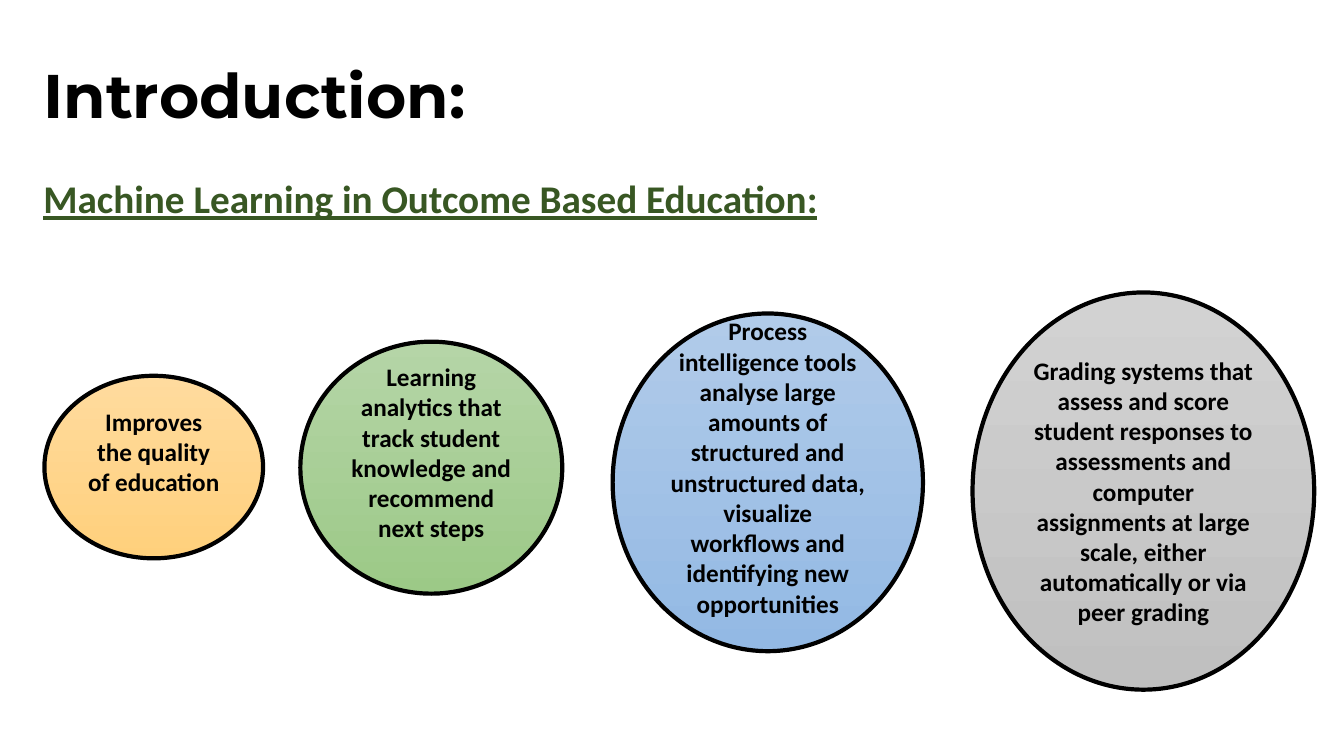
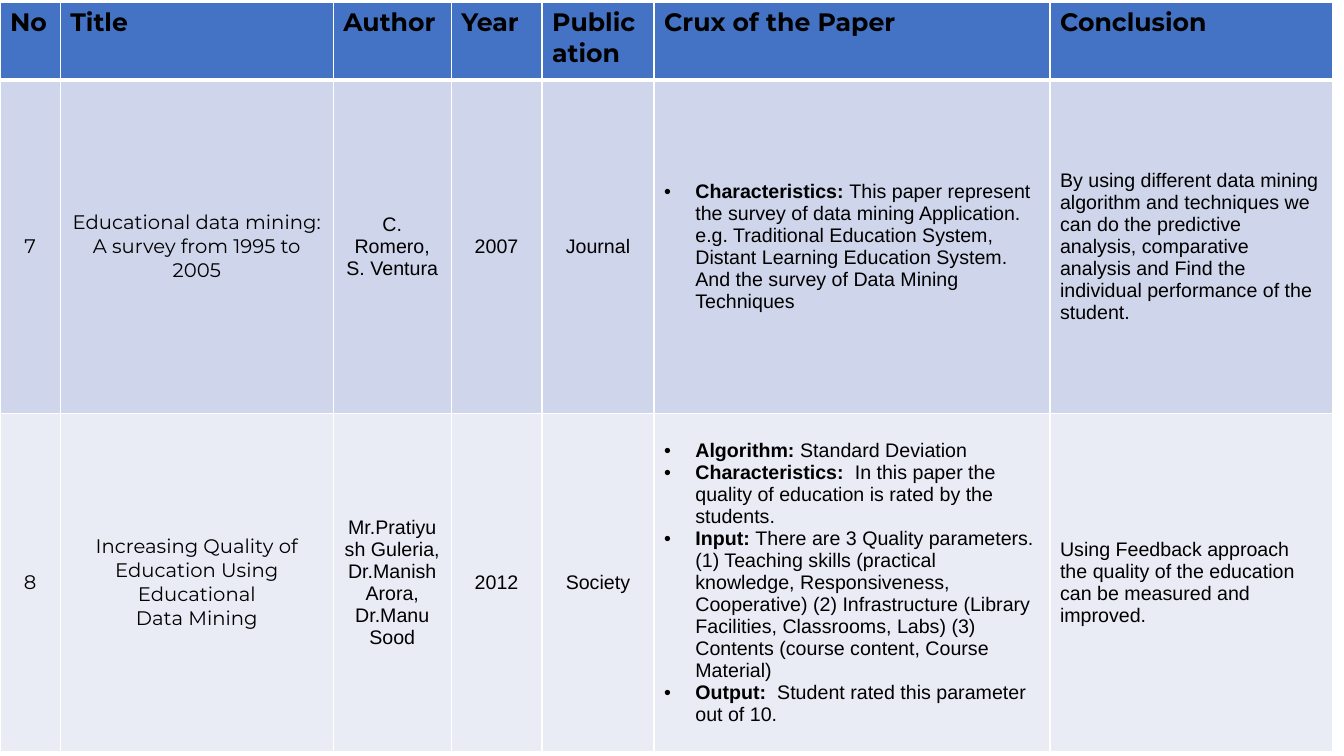
from dataclasses import dataclass

from lxml import etree
from pptx import Presentation
from pptx.dml.color import RGBColor
from pptx.enum.shapes import MSO_SHAPE
from pptx.enum.text import MSO_ANCHOR, MSO_AUTO_SIZE, PP_ALIGN
from pptx.oxml.ns import qn
from pptx.util import Cm, Pt

OVAL = MSO_SHAPE.OVAL
MIDDLE, TOP = MSO_ANCHOR.MIDDLE, MSO_ANCHOR.TOP
LEFT, CENTER = PP_ALIGN.LEFT, PP_ALIGN.CENTER
NO_AUTOFIT = MSO_AUTO_SIZE.NONE

BLACK = RGBColor(0x00, 0x00, 0x00)
WHITE = RGBColor(0xFF, 0xFF, 0xFF)
DARK_GREEN = RGBColor(0x38, 0x57, 0x23)
HEADER_BLUE = RGBColor(0x44, 0x72, 0xC4)
ROW_FILLS = (RGBColor(0xCF, 0xD5, 0xEA), RGBColor(0xE9, 0xEB, 0xF5))
ORANGE = (RGBColor(0xFF, 0xDB, 0x9E), RGBColor(0xFF, 0xD0, 0x7C))
GREEN = (RGBColor(0xB5, 0xD5, 0xA7), RGBColor(0x9C, 0xC9, 0x87))
BLUE = (RGBColor(0xB1, 0xCB, 0xE9), RGBColor(0x93, 0xB9, 0xE4))
GREY = (RGBColor(0xD2, 0xD2, 0xD2), RGBColor(0xC0, 0xC0, 0xC0))

HEADING_FONT, BODY_FONT, TABLE_FONT = "Montserrat", "Calibri", "Arial"

MARGIN, CONTENT_WIDTH = Cm(0.84), Cm(29.21)
BULLET_INDENT = Cm(0.79)


@dataclass(frozen=True)
class Benefit:
    text: str
    left: float
    top: float
    width: float
    height: float
    gradient: tuple[RGBColor, RGBColor]
    bottom_inset: float = 0.9


@dataclass(frozen=True)
class Paper:
    number: str
    title: str
    author: str
    year: str
    publication: str
    crux: tuple[tuple[str, str], ...]
    conclusion: str


BENEFITS = (
    Benefit("Improves the quality of education", 1.12, 9.47, 5.51, 4.6, ORANGE),
    Benefit(
        "Learning analytics that track student knowledge and recommend next steps",
        7.57, 8.61, 6.6, 6.35, GREEN,
    ),
    Benefit(
        "Process intelligence tools analyse large amounts of structured and "
        "unstructured data, visualize workflows and identifying new opportunities",
        15.44, 7.9, 7.82, 8.51, BLUE,
    ),
    Benefit(
        "Grading systems that assess and score student responses to assessments and "
        "computer assignments at large scale, either automatically or via peer grading",
        24.51, 7.37, 8.61, 10.01, GREY, bottom_inset=0.13,
    ),
)

HEADERS = ("No", "Title", "Author", "Year", "Publication", "Crux of the Paper", "Conclusion")
COLUMN_WIDTHS = (1.52, 6.88, 2.97, 2.29, 2.82, 9.98, 7.11)
ROW_HEIGHTS = (1.96, 8.41, 8.51)

PAPERS = (
    Paper(
        "7",
        "Educational data mining: A survey from 1995 to 2005",
        "C. Romero, S. Ventura",
        "2007",
        "Journal",
        (
            (
                "Characteristics: ",
                "This paper represent the survey of data mining Application. e.g. "
                "Traditional Education System, Distant Learning Education System. "
                "And the survey of Data Mining Techniques",
            ),
        ),
        "By using different data mining algorithm and techniques we can do the "
        "predictive analysis, comparative analysis and Find the individual "
        "performance of the student.",
    ),
    Paper(
        "8",
        "Increasing Quality of Education Using Educational\nData Mining",
        "Mr.Pratiyush Guleria, Dr.Manish Arora, Dr.Manu Sood",
        "2012",
        "Society",
        (
            ("Algorithm: ", "Standard Deviation"),
            (
                "Characteristics:  ",
                "In this paper the quality of education is rated by the students.",
            ),
            (
                "Input: ",
                "There are 3 Quality parameters. (1) Teaching skills (practical "
                "knowledge, Responsiveness, Cooperative) (2) Infrastructure (Library "
                "Facilities, Classrooms, Labs) (3) Contents (course content, Course "
                "Material)",
            ),
            ("Output:  ", "Student rated this parameter out of 10."),
        ),
        "Using Feedback approach the quality of the education can be measured and improved.",
    ),
)


def write(paragraph, text: str, *, size: float = 14, font: str = TABLE_FONT,
          color: RGBColor = BLACK, bold: bool = False, underline: bool = False,
          align: PP_ALIGN = LEFT) -> None:
    paragraph.alignment = align
    run = paragraph.add_run()
    run.text = text
    run.font.size = Pt(size)
    run.font.name = font
    run.font.color.rgb = color
    run.font.bold = bold
    run.font.underline = underline


def set_bullet(paragraph, symbol: str | None, indent: int = 0) -> None:
    properties = paragraph._p.get_or_add_pPr()
    properties.set("marL", str(indent))
    properties.set("indent", str(-indent))
    if symbol is None:
        etree.SubElement(properties, qn("a:buNone"))
    else:
        etree.SubElement(properties, qn("a:buFont"), typeface=TABLE_FONT)
        etree.SubElement(properties, qn("a:buChar"), char=symbol)


def place(placeholder, top: float, height: float, anchor: MSO_ANCHOR):
    placeholder.left, placeholder.top = MARGIN, Cm(top)
    placeholder.width, placeholder.height = CONTENT_WIDTH, Cm(height)
    frame = placeholder.text_frame
    frame.auto_size = NO_AUTOFIT
    frame.vertical_anchor = anchor
    return frame.paragraphs[0]


def draw_benefit(slide, benefit: Benefit) -> None:
    oval = slide.shapes.add_shape(
        OVAL, Cm(benefit.left), Cm(benefit.top), Cm(benefit.width), Cm(benefit.height))
    oval.shadow.inherit = False
    oval.fill.gradient()
    oval.fill.gradient_angle = 270
    for stop, color in zip(oval.fill.gradient_stops, benefit.gradient):
        stop.color.rgb = color
    oval.line.color.rgb = BLACK
    oval.line.width = Pt(3)
    frame = oval.text_frame
    frame.word_wrap = True
    frame.vertical_anchor = MIDDLE
    frame.margin_bottom = Cm(benefit.bottom_inset)
    write(frame.paragraphs[0], benefit.text, size=18, font=BODY_FONT, bold=True, align=CENTER)


def style_cell(cell, fill: RGBColor, top: float, bottom: float) -> None:
    cell.fill.solid()
    cell.fill.fore_color.rgb = fill
    properties = cell._tc.get_or_add_tcPr()
    sides = (("a:lnL", 1), ("a:lnR", 1), ("a:lnT", top), ("a:lnB", bottom))
    for index, (tag, width) in enumerate(sides):
        border = etree.Element(qn(tag), w=str(Pt(width)))
        solid = etree.SubElement(border, qn("a:solidFill"))
        etree.SubElement(solid, qn("a:srgbClr"), val=str(WHITE))
        properties.insert(index, border)


def paragraph_at(frame, index: int):
    return frame.paragraphs[0] if index == 0 else frame.add_paragraph()


def fill_paper(cells, paper: Paper) -> None:
    columns = (
        (paper.number, HEADING_FONT, CENTER),
        (paper.title, HEADING_FONT, CENTER),
        (paper.author, TABLE_FONT, CENTER),
        (paper.year, TABLE_FONT, CENTER),
        (paper.publication, TABLE_FONT, CENTER),
        ("", TABLE_FONT, LEFT),
        (paper.conclusion, TABLE_FONT, LEFT),
    )
    for cell, (text, font, align) in zip(cells, columns):
        cell.vertical_anchor = MIDDLE
        for index, line in enumerate(text.splitlines()):
            write(paragraph_at(cell.text_frame, index), line, font=font, align=align)
    crux_frame = cells[HEADERS.index("Crux of the Paper")].text_frame
    for index, (label, detail) in enumerate(paper.crux):
        point = paragraph_at(crux_frame, index)
        set_bullet(point, "•", BULLET_INDENT)
        write(point, label, bold=True)
        write(point, detail)


def build_introduction(presentation) -> None:
    slide = presentation.slides.add_slide(presentation.slide_layouts[1])
    heading = place(slide.shapes.title, 0.64, 3.68, MIDDLE)
    heading.line_spacing = 0.9
    write(heading, "Introduction:", size=44, font=HEADING_FONT, bold=True)
    topic = place(slide.placeholders[1], 3.68, 14.3, TOP)
    topic.line_spacing = 1.5
    topic.space_before = Pt(10)
    set_bullet(topic, None)
    write(topic, "Machine Learning in Outcome Based Education:", size=28, font=BODY_FONT,
          color=DARK_GREEN, bold=True, underline=True)
    for benefit in BENEFITS:
        draw_benefit(slide, benefit)


def build_literature(presentation) -> None:
    slide = presentation.slides.add_slide(presentation.slide_layouts[6])
    survey = slide.shapes.add_table(
        len(ROW_HEIGHTS), len(COLUMN_WIDTHS), Cm(0), Cm(0.05),
        Cm(sum(COLUMN_WIDTHS)), Cm(sum(ROW_HEIGHTS))).table
    survey.first_row = False
    survey.horz_banding = False
    for column, width in zip(survey.columns, COLUMN_WIDTHS):
        column.width = Cm(width)
    for row, height in zip(survey.rows, ROW_HEIGHTS):
        row.height = Cm(height)
    for cell, header in zip(survey.rows[0].cells, HEADERS):
        style_cell(cell, HEADER_BLUE, 1, 3)
        write(cell.text_frame.paragraphs[0], header, size=18, font=HEADING_FONT, bold=True)
    for index, (paper, fill) in enumerate(zip(PAPERS, ROW_FILLS)):
        cells = list(survey.rows[index + 1].cells)
        for cell in cells:
            style_cell(cell, fill, 3 if index == 0 else 1, 1)
        fill_paper(cells, paper)


def main() -> None:
    presentation = Presentation()
    presentation.slide_width, presentation.slide_height = Cm(33.87), Cm(19.05)
    build_introduction(presentation)
    build_literature(presentation)
    presentation.save("out.pptx")


if __name__ == "__main__":
    main()
